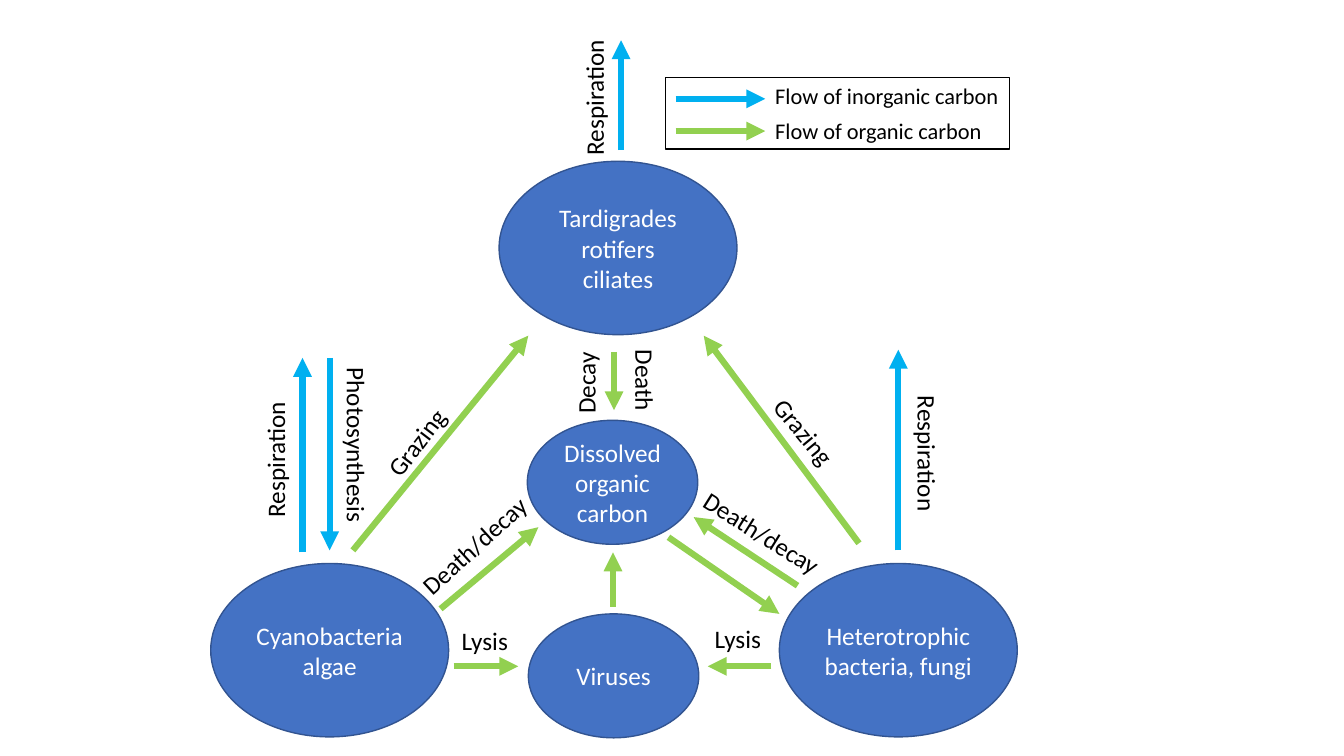
from lxml.etree import SubElement
from pptx import Presentation
from pptx.dml.color import RGBColor
from pptx.enum.shapes import MSO_CONNECTOR, MSO_SHAPE
from pptx.enum.text import MSO_ANCHOR, MSO_AUTO_SIZE, PP_ALIGN
from pptx.oxml.ns import qn
from pptx.util import Emu, Pt

PX = 9144
COLORS = {"node": "4472C4", "edge": "325491", "organic": "92D050",
          "inorganic": "00B0F0", "text": "000000", "light": "FFFFFF"}
BIG, SMALL = (236, 172), (169, 123)
NODES = [
    ("Cyanobacteria algae", 9, 519, BIG),
    ("Heterotrophic bacteria, fungi", 573, 519, BIG),
    ("Tardigrades rotifers ciliates", 295, 120, BIG),
    ("Dissolved organic carbon", 323, 377, SMALL),
    ("Viruses", 324, 569, SMALL),
]
FLOWS = {
    "organic": [
        (250, 621, 314, 621), (150, 506, 324, 293), (237, 564, 334, 483),
        (652, 499, 498, 293), (409, 309, 409, 367), (591, 541, 488, 473),
        (463, 493, 573, 569), (565, 621, 502, 621), (408, 562, 408, 508),
    ],
    "inorganic": [
        (127, 315, 127, 506), (691, 506, 691, 307),
        (100, 508, 100, 315), (416, 109, 416, 0),
    ],
}
LABELS = [
    ("Grazing", 149, 347, 176, 307.4), ("Grazing", 535, 399, 176, 50.5),
    ("Death/decay", 192, 472, 176, 317.8), ("Death/decay", 479, 476, 176, 32.2),
    ("Death", 352, 365, 176, 90), ("Decay", 293, 272, 176, 270),
    ("Respiration", -15, 375, 176, 270), ("Respiration", 632, 411, 176, 90),
    ("Respiration", 301, 16, 176, 270), ("Photosynthesis", 66, 383, 176, 90),
    ("Lysis", 248, 575, 68, 0), ("Lysis", 499, 573, 68, 0),
]
LEGEND = [("inorganic", "Flow of inorganic carbon", 21, 0),
          ("organic", "Flow of organic carbon", 53, 34)]


def px(*values):
    """Turn px lengths into EMU."""
    return [Emu(v * PX) for v in values]


def rgb(name):
    """Look up a named colour."""
    return RGBColor.from_string(COLORS[name])


def write(tf, text, size, color):
    """Put one formatted paragraph into a text frame."""
    tf.word_wrap = True
    p = tf.paragraphs[0]
    r = p.add_run()
    r.text = text
    for key, value in {"name": "Calibri", "size": Pt(size)}.items():
        setattr(r.font, key, value)
    r.font.color.rgb = rgb(color)
    return p


def add_node(s, text, x, y, size):
    """Draw one ellipse with its centred name."""
    sp = s.shapes.add_shape(MSO_SHAPE.OVAL, *px(x, y, *size))
    sp.shadow.inherit = False
    sp.fill.solid()
    sp.fill.fore_color.rgb = rgb("node")
    sp.line.color.rgb = rgb("edge")
    sp.line.width = Pt(1)
    sp.text_frame.vertical_anchor = MSO_ANCHOR.MIDDLE
    write(sp.text_frame, text, 18, "light").alignment = PP_ALIGN.CENTER


def add_flow(s, color, x1, y1, x2, y2):
    """Draw one thick arrow."""
    c = s.shapes.add_connector(MSO_CONNECTOR.STRAIGHT, *px(x1, y1, x2, y2))
    c.line.color.rgb = rgb(color)
    c.line.width = Pt(4.5)
    SubElement(c.line._get_or_add_ln(), qn("a:tailEnd"), type="triangle")
    SubElement(c._element.spPr, qn("a:effectLst"))


def add_label(s, text, x, y, w, h, size, angle=0):
    """Place one text box, turned by an angle."""
    sp = s.shapes.add_textbox(*px(x, y, w, h))
    sp.rotation = angle
    write(sp.text_frame, text, size, "text")
    sp.text_frame.auto_size = MSO_AUTO_SIZE.SHAPE_TO_FIT_TEXT


def add_web(s, left, top):
    """Draw the food web from its top left corner."""
    for text, x, y, size in NODES:
        add_node(s, text, left + x, top + y, size)
    for color, flows in FLOWS.items():
        for x1, y1, x2, y2 in flows:
            add_flow(s, color, left + x1, top + y1, left + x2, top + y2)
    for text, x, y, w, angle in LABELS:
        add_label(s, text, left + x, top + y, w, 40, 18, angle)


def add_legend(s, left, top, width, height):
    """Draw the framed key to the arrow colours."""
    for color, text, arrow_y, text_y in LEGEND:
        y = top + arrow_y
        add_flow(s, color, left + 10, y, left + 99, y)
        add_label(s, text, left + 99, top + text_y, 301, 37, 16)
    sp = s.shapes.add_shape(MSO_SHAPE.RECTANGLE, *px(left, top, width, height))
    sp.shadow.inherit = False
    sp.fill.background()
    sp.line.color.rgb = rgb("text")
    sp.line.width = Pt(1)


def main():
    """Build and save the slide."""
    prs = Presentation()
    prs.slide_width, prs.slide_height = px(1333, 750)
    s = prs.slides.add_slide(prs.slide_layouts[6])
    add_web(s, 200, 40)
    add_legend(s, 660, 77, 341, 71)
    prs.save("out.pptx")


if __name__ == "__main__":
    main()
